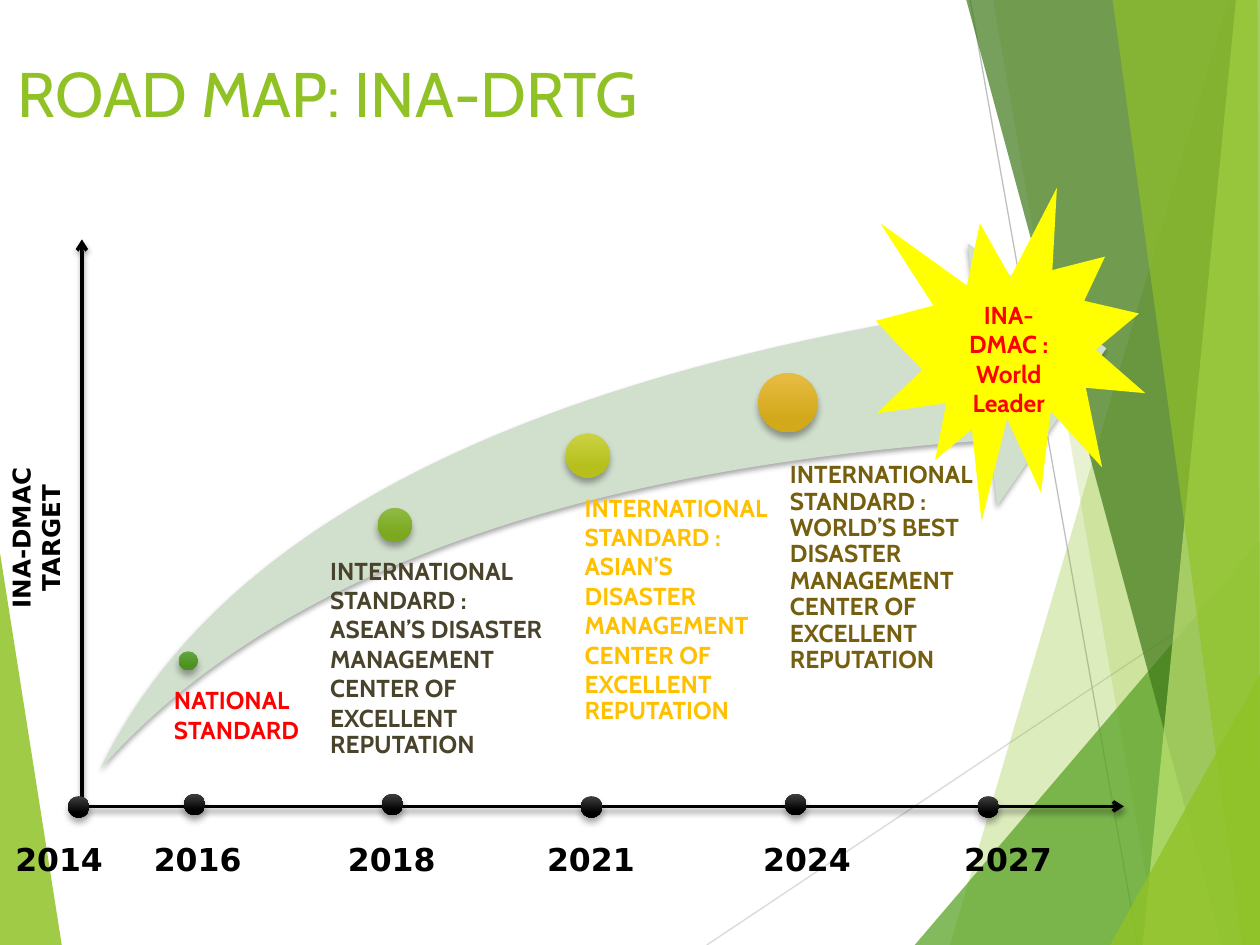
from lxml import etree
from pptx import Presentation
from pptx.dml.color import RGBColor
from pptx.enum.shapes import MSO_CONNECTOR, MSO_SHAPE
from pptx.enum.text import MSO_ANCHOR, PP_ALIGN
from pptx.oxml.ns import qn
from pptx.util import Pt

OVAL = MSO_SHAPE.OVAL
SWOOSH = MSO_SHAPE.SWOOSH_ARROW
BURST = MSO_SHAPE.EXPLOSION1
STRAIGHT = MSO_CONNECTOR.STRAIGHT
LEFT, CENTER = PP_ALIGN.LEFT, PP_ALIGN.CENTER
TOP, MIDDLE = MSO_ANCHOR.TOP, MSO_ANCHOR.MIDDLE

HEADING_FONT = "Cabin"
AXIS_FONT = "DejaVu Sans"
WIDTH, HEIGHT = 720, 540
AXIS_Y = 460.8

COLORS = {
    "lime": "90C226", "green": "54A021", "forest": "3F7819", "pale": "C0E474",
    "hairline": "BFBFBF", "light_hairline": "D9D9D9", "swoosh": "D1DFCD",
    "black": "000000", "charcoal": "3F3F3F", "red": "FF0000", "yellow": "FFFF00",
    "olive": "48432A", "amber": "FFC000", "brown": "755E0D",
}

# Decorative panels: color, opacity in percent, corner points
LEFT_PANEL = ("lime", 85, [(0, 316), (35.3, HEIGHT), (0, HEIGHT)])
RIGHT_PANELS = [
    ("lime", 30, [(702, 0), (542.9, HEIGHT), (WIDTH, HEIGHT), (WIDTH, 0)]),
    ("lime", 20, [(567.4, 0), (661.7, HEIGHT), (WIDTH, HEIGHT), (WIDTH, 0)]),
    ("green", 72, [(522.7, HEIGHT), (WIDTH, 308.9), (WIDTH, HEIGHT)]),
    ("forest", 70, [(552.2, 0), (698.4, HEIGHT), (WIDTH, HEIGHT), (WIDTH, 0)]),
    ("pale", 70, [(706.3, 0), (653, HEIGHT), (WIDTH, HEIGHT), (WIDTH, 0)]),
    ("lime", 65, [(635.8, 0), (709.9, HEIGHT), (WIDTH, HEIGHT), (718.6, 0)]),
    ("lime", 80, [(634.3, HEIGHT), (WIDTH, 385.2), (WIDTH, HEIGHT)]),
]

# Milestones on the swoosh: dot (left, top, size, gradient), label (box, inset, color, texts)
# Each text is paired with its line spacing
MILESTONES = [
    ((102.2, 372.2, 10.8, ("63A545", "4D921E")),
     ((93.6, 391.7, 106.6, 37.4), 5.8, "red", [("NATIONAL STANDARD", 1)])),
    ((216, 290.2, 19.4, ("8EBB44", "7BA81D")),
     ((178.6, 317.5, 136.1, 116.6), 10.1, "olive",
      [("INTERNATIONAL STANDARD : ASEAN’S DISASTER MANAGEMENT CENTER OF EXCELLENT", 1),
       ("REPUTATION", 0.9)])),
    ((323.3, 247.7, 25.2, ("CAD243", "B6BF1B")),
     ((320.4, 281.5, 123.1, 74.2), 13.7, "amber",
      [("INTERNATIONAL STANDARD : ASIAN’S DISASTER MANAGEMENT CENTER OF EXCELLENT", 1),
       ("REPUTATION", 0.9)])),
    ((433.4, 213.1, 33.8, ("E7BC43", "D2A91B")),
     ((433.4, 264.2, 137.5, 100.1), 18, "brown",
      [("INTERNATIONAL STANDARD : WORLD’S BEST DISASTER MANAGEMENT CENTER OF "
        "EXCELLENT REPUTATION", 0.9)])),
]

# Time axis: year, dot center x, dot top, label center x
YEARS = [
    ("2014", 45, 455, 33.8), ("2016", 111.2, 453.6, 113), ("2018", 224.3, 453.6, 223.9),
    ("2021", 338, 455, 337.7), ("2024", 454.7, 453.6, 461.2), ("2027", 564.8, 455, 576),
]


def rgb(name):
    return RGBColor.from_string(COLORS.get(name, name))


def add_shadow(shape, blur, distance):
    """Soft black shadow straight below a shape or connector."""
    properties = shape._element.spPr
    effects = properties.find(qn("a:effectLst"))
    if effects is None:
        effects = etree.SubElement(properties, qn("a:effectLst"))
    shadow = etree.SubElement(effects, qn("a:outerShdw"), blurRad=str(Pt(blur)),
                              dist=str(Pt(distance)), dir="5400000", rotWithShape="0")
    color = etree.SubElement(shadow, qn("a:srgbClr"), val=COLORS["black"])
    etree.SubElement(color, qn("a:alpha"), val="35000")


def add_panel(slide, color, opacity, points):
    corners = [(Pt(x), Pt(y)) for x, y in points]
    builder = slide.shapes.build_freeform(*corners[0], scale=1.0)
    builder.add_line_segments(corners[1:], close=True)
    panel = builder.convert_to_shape()
    panel.shadow.inherit = False
    panel.line.fill.background()
    panel.fill.solid()
    panel.fill.fore_color.rgb = rgb(color)
    fill_color = panel._element.spPr.find(qn("a:solidFill")).find(qn("a:srgbClr"))
    etree.SubElement(fill_color, qn("a:alpha"), val=str(opacity * 1000))


def add_line(slide, start, end, color, width):
    line = slide.shapes.add_connector(STRAIGHT, *map(Pt, start + end))
    line.line.color.rgb = rgb(color)
    line.line.width = Pt(width)
    etree.SubElement(line._element.spPr, qn("a:effectLst"))
    return line


def add_axis(slide, start, end):
    axis = add_line(slide, start, end, "black", 2)
    etree.SubElement(axis.line._get_or_add_ln(), qn("a:tailEnd"), type="arrow")
    add_shadow(axis, 3, 2)


def add_filled_shape(slide, kind, box, color):
    shape = slide.shapes.add_shape(kind, *map(Pt, box))
    shape.shadow.inherit = False
    shape.line.fill.background()
    shape.fill.solid()
    shape.fill.fore_color.rgb = rgb(color)
    return shape


def add_dot(slide, left, top, size, gradient):
    dot = add_filled_shape(slide, OVAL, (left, top, size, size), gradient[0])
    dot.fill.gradient()
    dot.fill.gradient_angle = 270
    for stop, color, position in zip(dot.fill.gradient_stops, gradient, (0, 0.78)):
        stop.color.rgb = rgb(color)
        stop.position = position
    add_shadow(dot, 4, 3)


def write_text(shape, texts, font, size, color, bold=True, align=CENTER, anchor=TOP):
    """Fill a shape with (text, line spacing) paragraphs."""
    frame = shape.text_frame
    frame.word_wrap = True
    frame.vertical_anchor = anchor
    for index, (text, spacing) in enumerate(texts):
        paragraph = frame.add_paragraph() if index else frame.paragraphs[0]
        paragraph.alignment = align
        paragraph.line_spacing = spacing
        run = paragraph.add_run()
        run.text = text
        run.font.name = font
        run.font.size = Pt(size)
        run.font.bold = bold
        run.font.color.rgb = rgb(color)


def add_text(slide, box, *args, **options):
    text_box = slide.shapes.add_textbox(*map(Pt, box))
    write_text(text_box, *args, **options)
    return text_box


def add_milestone_label(slide, box, inset, color, texts):
    frame = add_text(slide, box, texts, HEADING_FONT, 14, color, align=LEFT).text_frame
    frame.margin_left = Pt(inset)
    frame.margin_top = frame.margin_right = frame.margin_bottom = 0


def main():
    presentation = Presentation()
    presentation.slide_width, presentation.slide_height = Pt(WIDTH), Pt(HEIGHT)
    slide = presentation.slides.add_slide(presentation.slide_layouts[6])

    # Backdrop
    add_panel(slide, *LEFT_PANEL)
    add_line(slide, (403.9, HEIGHT), (WIDTH, 329), "light_hairline", 0.75)
    add_line(slide, (554.4, 0), (650.2, HEIGHT), "hairline", 0.75)
    for panel in RIGHT_PANELS:
        add_panel(slide, *panel)

    # Title
    add_text(slide, (2.9, 27.4, 652.3, 74.2), [("ROAD MAP: INA-DRTG", 1)],
             HEADING_FONT, 36, "lime", bold=False, align=LEFT)

    # Rising swoosh with its milestones
    swoosh = add_filled_shape(slide, SWOOSH, (57.6, 139, 574.6, 300.2), "swoosh")
    swoosh.adjustments[0] = swoosh.adjustments[1] = 0.25
    add_shadow(swoosh, 3, 2)
    for dot, label in MILESTONES:
        add_dot(slide, *dot)
        add_milestone_label(slide, *label)

    # Axes and the vertical axis name
    add_axis(slide, (44.6, AXIS_Y), (642.2, AXIS_Y))
    add_axis(slide, (46.8, AXIS_Y), (46.8, 136.8))
    axis_name = add_text(slide, (0, 232.6, 48.2, 149.8),
                         [("INA-DMAC", 1), ("TARGET", 1)], AXIS_FONT, 14, "black")
    axis_name.text_frame._txBody.bodyPr.set("vert", "vert270")

    # Goal
    goal = add_filled_shape(slide, BURST, (500.4, 107.3, 154.1, 190.8), "yellow")
    write_text(goal, [("INA-DMAC :", 1), ("World Leader", 1)],
               HEADING_FONT, 14, "red", anchor=MIDDLE)
    goal.text_frame.margin_top = Pt(20)

    # Years
    for year, dot_x, dot_top, label_x in YEARS:
        add_dot(slide, dot_x - 6.1, dot_top, 12.2, ("charcoal", "black"))
        add_text(slide, (label_x - 54, 476.6, 108, 28.8), [(year, 1)],
                 AXIS_FONT, 18, "black")

    presentation.save("out.pptx")


if __name__ == "__main__":
    main()
